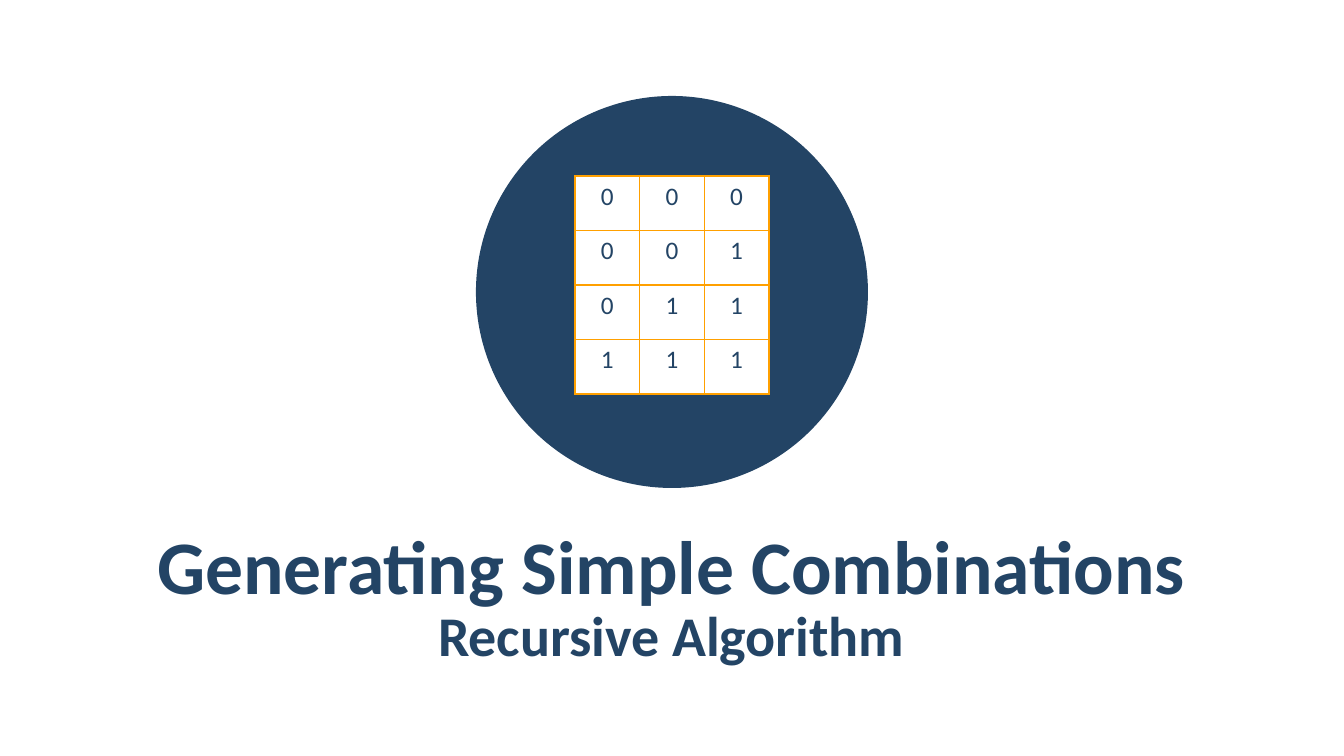
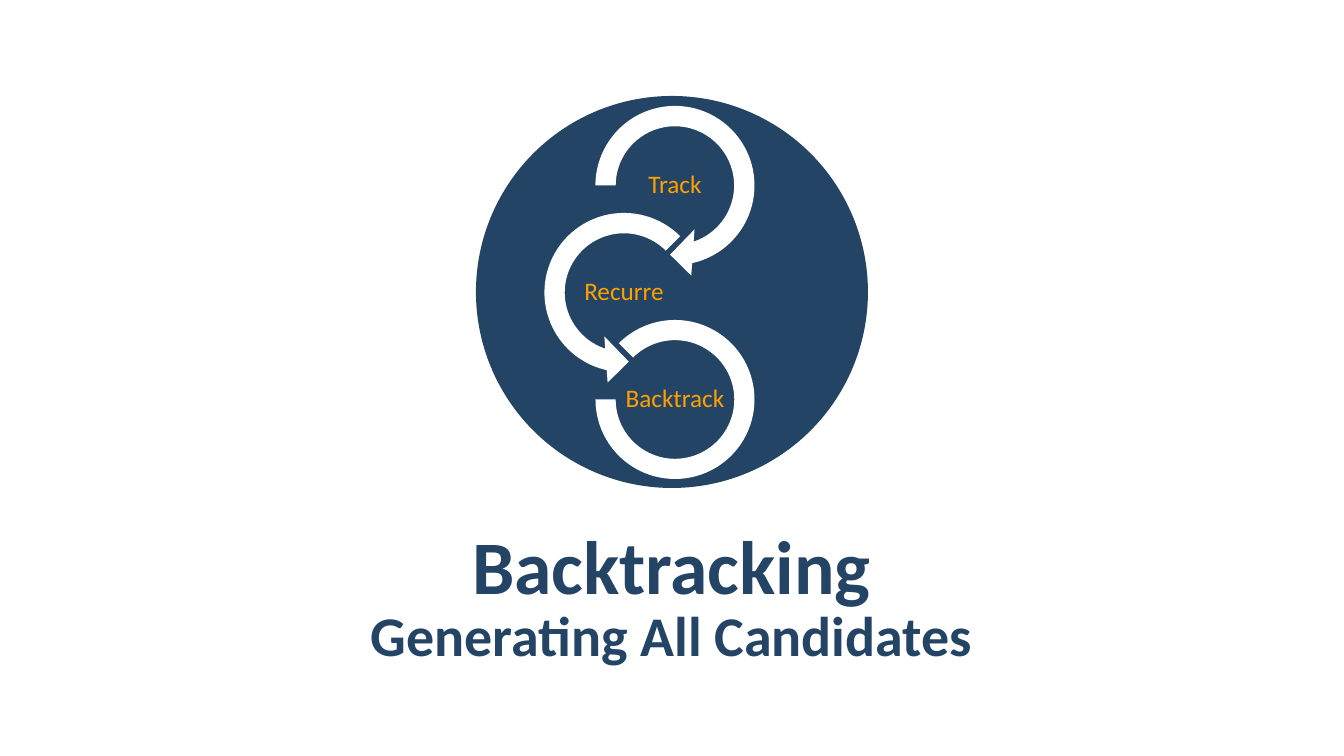
from dataclasses import dataclass
from pptx import Presentation
from pptx.dml.color import RGBColor
from pptx.enum.shapes import MSO_SHAPE
from pptx.enum.text import MSO_ANCHOR, MSO_AUTO_SIZE, PP_ALIGN
from pptx.oxml import parse_xml
from pptx.oxml.ns import nsdecls
from pptx.util import Emu, Pt

CENTER, MIDDLE = PP_ALIGN.CENTER, MSO_ANCHOR.MIDDLE

# Content
TITLES = [
    ("Generating Simple Combinations", "Recursive Algorithm"),
    ("Backtracking", "Generating All Candidates"),
]
COMBINATIONS = ["000", "001", "011", "111"]
# label, shape, centre x, size, adjustments
STEPS = [
    ("Track", MSO_SHAPE.CIRCULAR_ARROW, 675, 185,
     (0.11, 11.42, 45, 108, 0.125)),
    ("Recurre", MSO_SHAPE.LEFT_CIRCULAR_ARROW, 624, 185,
     (0.11, 11.42, 63, 189, 0.125)),
    ("Backtrack", MSO_SHAPE.BLOCK_ARC, 675, 159, (135, 108, 0.127)),
]


@dataclass(frozen=True)
class Theme:
    navy: str = "234465"
    orange: str = "FFA000"
    white: str = "FFFFFF"
    font: str = "Calibri"
    title: int = 54
    subtitle: int = 40
    small: int = 18


T = Theme()

# Geometry in pixels
SLIDE = (1344, 756)
DISC = (476, 96, 392, 392)
TITLE_BOX = (67, 519, 1209, 85)
SUBTITLE_BOX = (67, 605, 1209, 55)
TABLE_BOX = (575, 176, 194, 218)
LABEL_SIZE = (103, 51)
STEP_TOP, STEP_PITCH = 185.5, 107


def px(value):
    return Emu(round(value * 914400 / 100.8))


def box(values):
    return [px(v) for v in values]


def centred(cx, cy, w, h):
    return box((cx - w / 2, cy - h / 2, w, h))


def style(p, size, color, bold=False):
    p.alignment = CENTER
    p.font.name, p.font.size, p.font.bold = T.font, Pt(size), bold
    p.font.color.rgb = RGBColor.from_string(color)


def set_frame(tf, margin_x, margin_y):
    tf.word_wrap = True
    tf.auto_size = MSO_AUTO_SIZE.NONE
    tf.vertical_anchor = MIDDLE
    tf.margin_left = tf.margin_right = px(margin_x)
    tf.margin_top = tf.margin_bottom = px(margin_y)


def add_solid(shapes, kind, bounds, color):
    sp = shapes.add_shape(kind, *bounds)
    sp.shadow.inherit = False
    sp.fill.solid()
    sp.fill.fore_color.rgb = RGBColor.from_string(color)
    sp.line.fill.background()
    return sp


def fill_placeholder(sp, text, bounds, size):
    sp.left, sp.top, sp.width, sp.height = box(bounds)
    tf = sp.text_frame
    tf.text = text
    set_frame(tf, 12, 4)
    p = tf.paragraphs[0]
    style(p, size, T.navy, bold=True)
    p.line_spacing = 1.05
    p.space_before = p.space_after = Pt(6)


def add_section(text, subtext):
    s = prs.slides.add_slide(layout)
    fill_placeholder(s.shapes.title, text, TITLE_BOX, T.title)
    fill_placeholder(s.placeholders[1], subtext, SUBTITLE_BOX, T.subtitle)
    return s


def set_borders(cell, color):
    tc_pr = cell._tc.get_or_add_tcPr()
    for i, side in enumerate(("lnL", "lnR", "lnT", "lnB")):
        tc_pr.insert(i, parse_xml(
            f'<a:{side} {nsdecls("a")} w="12700"><a:solidFill>'
            f'<a:srgbClr val="{color}"/></a:solidFill></a:{side}>'))


def add_combinations(s):
    rows, cols = len(COMBINATIONS), len(COMBINATIONS[0])
    table = s.shapes.add_table(rows, cols, *box(TABLE_BOX)).table
    table.first_row = table.horz_banding = False
    for r, digits in enumerate(COMBINATIONS):
        for c, digit in enumerate(digits):
            cell = table.cell(r, c)
            cell.text = digit
            style(cell.text_frame.paragraphs[0], T.small, T.navy)
            cell.fill.solid()
            cell.fill.fore_color.rgb = RGBColor.from_string(T.white)
            set_borders(cell, T.orange)


def add_cycle(s):
    shapes = s.shapes.add_group_shape().shapes
    for i, (text, kind, cx, size, adjustments) in enumerate(STEPS):
        cy = STEP_TOP + i * STEP_PITCH
        arrow = add_solid(shapes, kind, centred(cx, cy, size, size), T.white)
        for j, value in enumerate(adjustments):
            arrow.adjustments[j] = value
        tf = shapes.add_textbox(*centred(cx, cy, *LABEL_SIZE)).text_frame
        tf.text = text
        set_frame(tf, 1, 1)
        style(tf.paragraphs[0], T.small, T.orange)
        tf.paragraphs[0].line_spacing = 0.9


prs = Presentation()
prs.slide_width, prs.slide_height = box(SLIDE)

# Shared layout: title, subtitle and disc
layout = prs.slide_layouts[0]
for ph in list(layout.placeholders)[2:]:
    ph.element.getparent().remove(ph.element)

combinations, backtracking = [add_section(*titles) for titles in TITLES]
disc = add_solid(combinations.shapes, MSO_SHAPE.OVAL, box(DISC), T.navy)
layout.shapes.element.append(disc.element)

# Slide illustrations
add_combinations(combinations)
add_cycle(backtracking)

prs.save("out.pptx")
